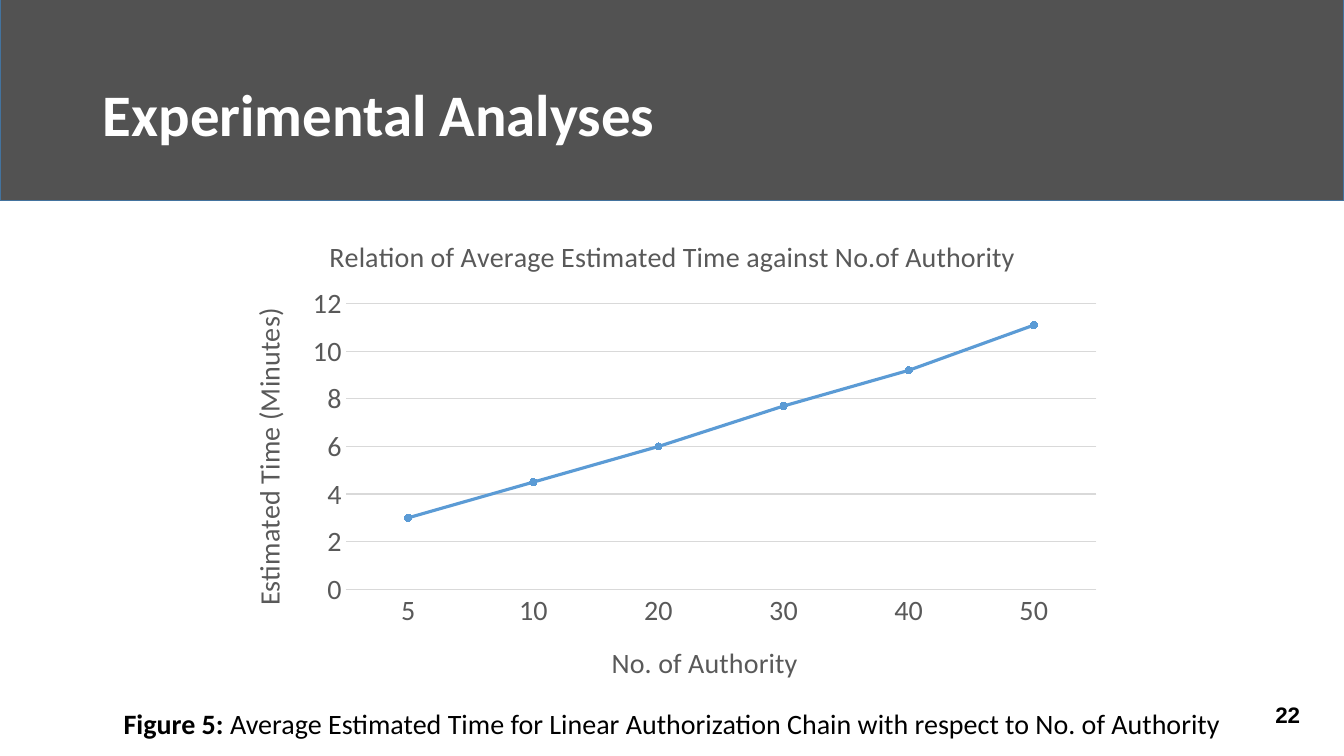
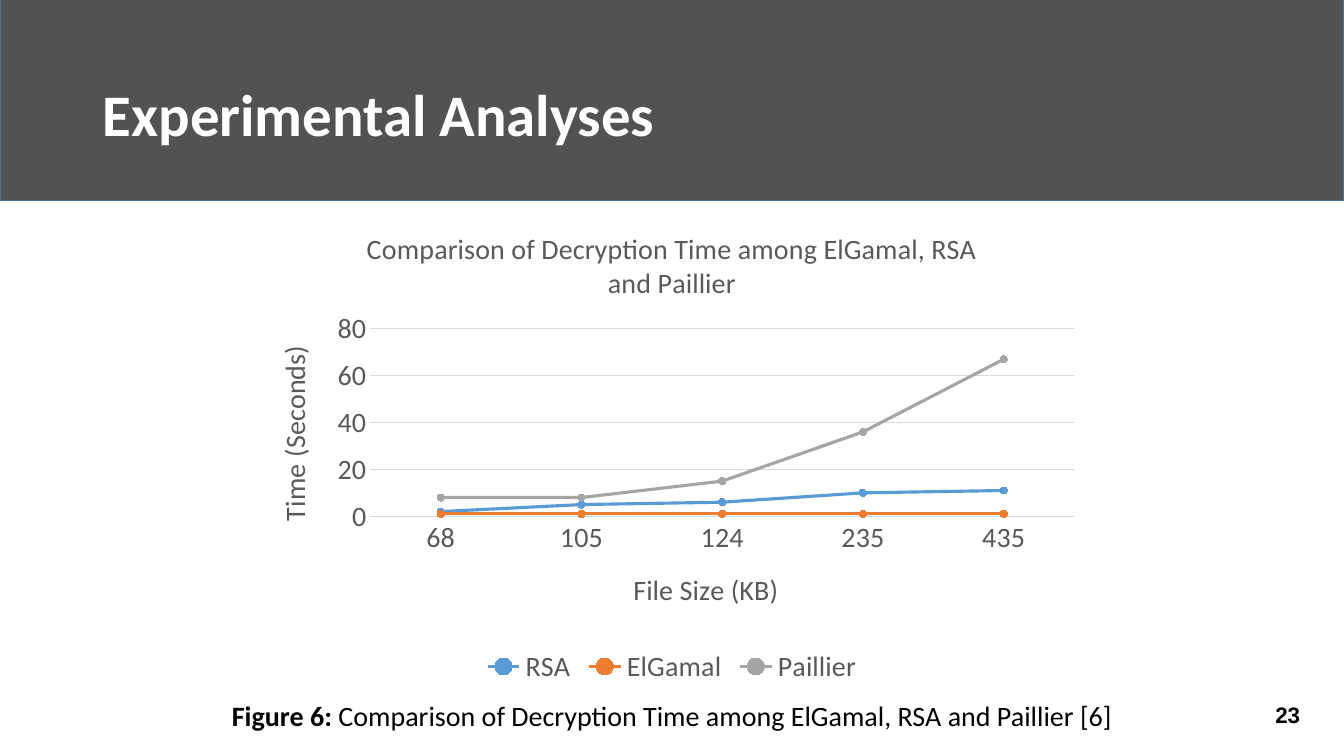
from pptx import Presentation
from pptx.chart.data import CategoryChartData
from pptx.dml.color import RGBColor
from pptx.enum.chart import XL_CHART_TYPE as CT, XL_LEGEND_POSITION as LP
from pptx.enum.chart import XL_MARKER_STYLE as MS, XL_TICK_MARK as TM
from pptx.enum.shapes import MSO_SHAPE
from pptx.enum.text import MSO_ANCHOR, PP_ALIGN
from pptx.oxml import parse_xml
from pptx.oxml.ns import nsdecls
from pptx.util import Inches, Pt

# Shared look
COLORS = {
    "band": "525252", "band_line": "43739E", "white": "FFFFFF", "black": "000000",
    "label": "595959", "grid": "D9D9D9",
    "blue": "5B9BD5", "orange": "ED7D31", "gray": "A5A5A5",
}
RGB = {name: RGBColor.from_string(value) for name, value in COLORS.items()}
TITLE = {"name": "Calibri", "size": Pt(42), "bold": True}
NUMBER = {"name": "Arial", "size": Pt(16), "bold": True}
BODY = {"name": "Calibri", "size": Pt(20), "bold": False}

# What differs from slide to slide; plot is x, y, w, h as fractions of the chart
SLIDES = [
    {
        "number": "22",
        "caption": ("Figure 5: ", "Average Estimated Time for Linear Authorization "
                    "Chain with respect to No. of Authority"),
        "caption_top": 6.91,
        "chart_box": (2.29, 2.15, 8.76, 4.8),
        "plot": (0.13, 0.18, 0.85, 0.59),
        "title": "Relation of Average Estimated Time against No.of Authority",
        "axes": ("No. of Authority", "Estimated Time (Minutes)"),
        "scale": (12, 2),
        "cats": ["5", "10", "20", "30", "40", "50"],
        "series": [("Series 1", "blue", [3, 4.5, 6, 7.7, 9.2, 11.1])],
    },
    {
        "number": "23",
        "caption": ("Figure 6: ", "Comparison of Decryption Time among ElGamal, "
                    "RSA and Paillier [6]"),
        "caption_top": 6.83,
        "chart_box": (2.51, 2.07, 8.31, 4.77),
        "plot": (0.14, 0.25, 0.84, 0.39),
        "title": "Comparison of Decryption Time among ElGamal, RSA and Paillier",
        "axes": ("File Size (KB)", "Time (Seconds)"),
        "scale": (80, 20),
        "cats": ["68", "105", "124", "235", "435"],
        "series": [("RSA", "blue", [2, 5, 6, 10, 11]),
                   ("ElGamal", "orange", [1, 1, 1, 1, 1]),
                   ("Paillier", "gray", [8, 8, 15, 36, 67])],
    },
]


def set_font(font, style, color):
    for attr, value in style.items():
        setattr(font, attr, value)
    font.color.rgb = RGB[color]


def set_title(owner, text):
    owner.has_title = True
    title = owner.chart_title if hasattr(owner, "chart_title") else owner.axis_title
    r = title.text_frame.paragraphs[0].add_run()
    r.text = text
    set_font(r.font, BODY, "label")


prs = Presentation()
prs.slide_width, prs.slide_height = Inches(13.33), Inches(7.5)

for info in SLIDES:
    s = prs.slides.add_slide(prs.slide_layouts[5])

    # Title band, placed behind the title
    band = s.shapes.add_shape(MSO_SHAPE.RECTANGLE, 0, Inches(-0.05),
                              prs.slide_width, Inches(2.04))
    band.shadow.inherit = False
    band.fill.solid()
    band.fill.fore_color.rgb = RGB["band"]
    band.line.color.rgb = RGB["band_line"]
    band.line.width = Pt(1)
    s.shapes._spTree.insert(2, band._element)

    # Title
    sp = s.shapes.title
    sp.left, sp.top, sp.width, sp.height = map(Inches, (0.92, 0.44, 11.5, 1.45))
    tf = sp.text_frame
    tf.vertical_anchor = MSO_ANCHOR.MIDDLE
    p = tf.paragraphs[0]
    p.alignment, p.line_spacing = PP_ALIGN.LEFT, 0.9
    r = p.add_run()
    r.text = "Experimental Analyses"
    set_font(r.font, TITLE, "white")

    # Slide number
    sp = s.shapes.add_textbox(*map(Inches, (12.55, 6.91, 0.48, 0.37)))
    sp.text_frame.word_wrap = True
    r = sp.text_frame.paragraphs[0].add_run()
    r.text = info["number"]
    set_font(r.font, NUMBER, "black")

    # Figure caption with a bold label
    sp = s.shapes.add_textbox(*map(Inches, (0.72, info["caption_top"], 11.89, 0.46)))
    sp.text_frame.word_wrap = True
    p = sp.text_frame.paragraphs[0]
    p.alignment, p.line_spacing = PP_ALIGN.CENTER, 1.15
    for text, bold in zip(info["caption"], (True, False)):
        r = p.add_run()
        r.text = text
        set_font(r.font, {**BODY, "bold": bold}, "black")

    # Line chart
    data = CategoryChartData()
    data.categories = info["cats"]
    for name, _, values in info["series"]:
        data.add_series(name, values)
    chart = s.shapes.add_chart(CT.LINE_MARKERS, *map(Inches, info["chart_box"]),
                               data).chart
    set_font(chart.font, BODY, "label")
    set_title(chart, info["title"])
    chart.has_legend = len(info["series"]) > 1
    if chart.has_legend:
        chart.legend.position = LP.BOTTOM
        chart.legend.include_in_layout = False
        set_font(chart.legend.font, BODY, "label")

    # Axes
    for axis, text in zip((chart.category_axis, chart.value_axis), info["axes"]):
        set_title(axis, text)
        set_font(axis.tick_labels.font, BODY, "label")
        axis.major_tick_mark = axis.minor_tick_mark = TM.NONE
    value_axis = chart.value_axis
    value_axis.minimum_scale = 0
    value_axis.maximum_scale, value_axis.major_unit = info["scale"]
    value_axis.format.line.fill.background()
    for line in (chart.category_axis.format.line, value_axis.major_gridlines.format.line):
        line.color.rgb = RGB["grid"]
        line.width = Pt(0.75)

    # Series
    chart.plots[0].vary_by_categories = False
    for series, (_, color, _) in zip(chart.plots[0].series, info["series"]):
        series.smooth = False
        series.format.line.color.rgb = RGB[color]
        series.format.line.width = Pt(2.25)
        marker = series.marker
        marker.style, marker.size = MS.CIRCLE, 5
        marker.format.fill.solid()
        marker.format.fill.fore_color.rgb = RGB[color]
        marker.format.line.color.rgb = RGB[color]

    # Fixed plot area
    plot_area = chart._chartSpace.chart.plotArea
    for old in plot_area.findall("{*}layout"):
        plot_area.remove(old)
    sizes = "".join(f'<c:{k} val="{v}"/>' for k, v in zip("xywh", info["plot"]))
    plot_area.insert(0, parse_xml(
        f'<c:layout {nsdecls("c")}><c:manualLayout><c:layoutTarget val="inner"/>'
        f'<c:xMode val="edge"/><c:yMode val="edge"/>{sizes}'
        '</c:manualLayout></c:layout>'))

prs.save("out.pptx")
